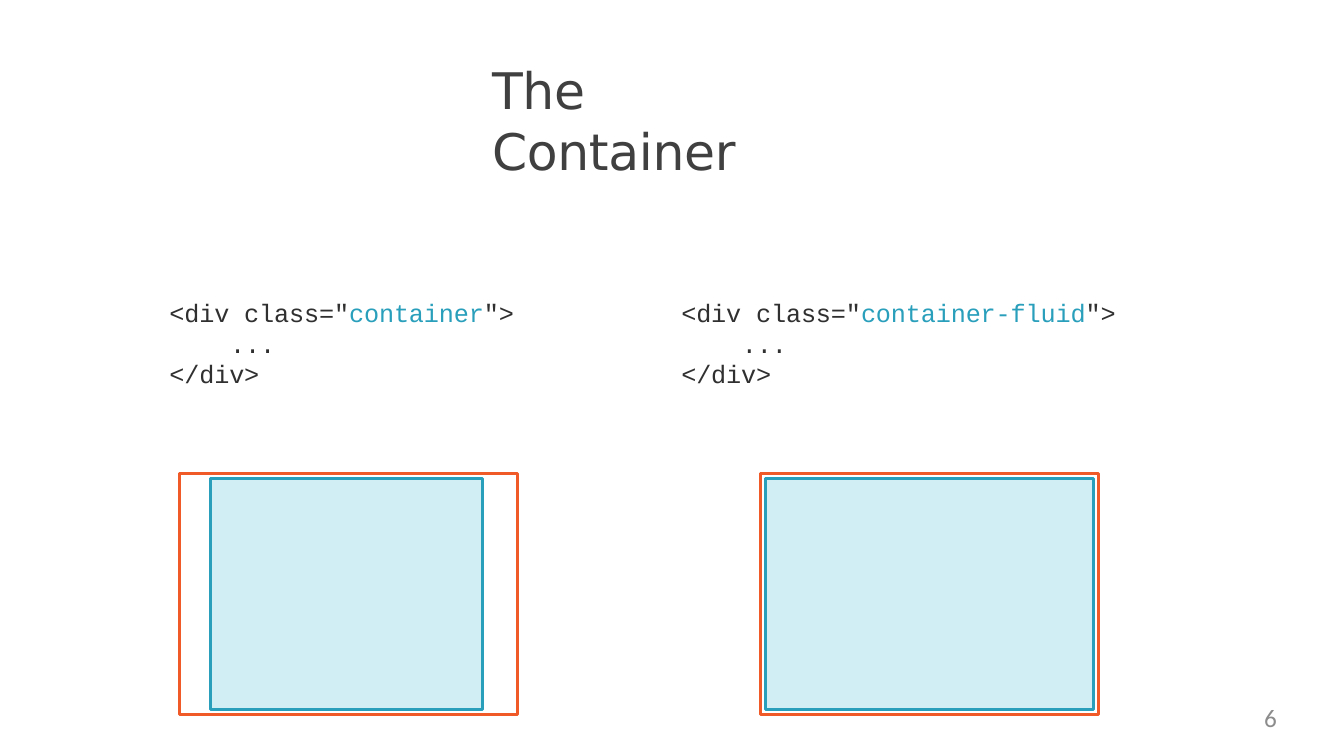
from pptx import Presentation
from pptx.dml.color import RGBColor
from pptx.enum import shapes, text
from pptx.util import Cm, Pt

TITLE = "The Container"
PAGE_NUMBER = "6"
INK, GREY, DARK = "404040", "8C8C8C", "303030"
BLUE, PALE, ORANGE = "2A9FBC", "D1EEF5", "F05A28"

SNIPPETS = [
    {"class": "container", "left": 4.24, "width": 8.8},
    {"class": "container-fluid", "left": 17.14, "width": 11.1},
]
DIAGRAMS = [
    {"left": 4.52, "inner_left": 5.31, "inner_width": 6.86},
    {"left": 19.17, "inner_left": 19.3, "inner_width": 8.25},
]
SNIPPET_TOP, SNIPPET_HEIGHT = 7.44, 2.36
OUTER_TOP, OUTER_WIDTH, OUTER_HEIGHT = 11.93, 8.52, 6.08
INNER_GAP = 0.12


def color(value):
    return RGBColor.from_string(value)


def place(box, left, top, width, height):
    box.left, box.top, box.width, box.height = map(Cm, (left, top, width, height))


def prepare(box, inset=0.05):
    frame = box.text_frame
    frame.word_wrap = True
    frame.auto_size = text.MSO_AUTO_SIZE.NONE
    frame.vertical_anchor = text.MSO_ANCHOR.TOP
    frame.margin_left = frame.margin_right = frame.margin_bottom = 0
    frame.margin_top = Cm(inset)
    return frame


def add_span(para, words, size=18, font="Courier New", ink=DARK, tracking=0):
    span = para.add_run()
    span.text = words
    span.font.size = Pt(size)
    span.font.name = font
    span.font.color.rgb = color(ink)
    if tracking:
        span._r.get_or_add_rPr().set("spc", str(tracking))


def add_snippet(page, snippet):
    box = page.shapes.add_textbox(0, 0, 0, 0)
    place(box, snippet["left"], SNIPPET_TOP, snippet["width"], SNIPPET_HEIGHT)
    frame = prepare(box)
    lines = [
        (0.03, [('<div class="', DARK), (snippet["class"], BLUE), ('">', DARK)]),
        (1.56, [("...", DARK)]),
        (0.03, [("</div>", DARK)]),
    ]
    for index, (indent, spans) in enumerate(lines):
        para = frame.add_paragraph() if index else frame.paragraphs[0]
        para._p.get_or_add_pPr().set("marL", str(Cm(indent)))
        if index:
            para.line_spacing = Pt(21.4)
            para.space_before = Pt(0.5 if index == 1 else 0)
        for words, ink in spans:
            add_span(para, words, ink=ink, tracking=-10)


def add_frame(group, left, top, width, height, line, fill=None):
    box = group.shapes.add_shape(
        shapes.MSO_SHAPE.RECTANGLE, Cm(left), Cm(top), Cm(width), Cm(height)
    )
    box.shadow.inherit = False
    box.line.color.rgb = color(line)
    box.line.width = Pt(2)
    if fill:
        box.fill.solid()
        box.fill.fore_color.rgb = color(fill)
    else:
        box.fill.background()


def add_diagram(page, diagram):
    group = page.shapes.add_group_shape()
    add_frame(group, diagram["left"], OUTER_TOP, OUTER_WIDTH, OUTER_HEIGHT, ORANGE)
    add_frame(group, diagram["inner_left"], OUTER_TOP + INNER_GAP,
              diagram["inner_width"], OUTER_HEIGHT - 2 * INNER_GAP, BLUE, PALE)


def main():
    deck = Presentation()
    deck.slide_width, deck.slide_height = Cm(33.87), Cm(19.05)
    page = deck.slides.add_slide(deck.slide_layouts[5])

    title = page.shapes.title
    place(title, 12.37, 1.45, 8.8, 1.6)
    para = prepare(title).paragraphs[0]
    para.alignment = text.PP_ALIGN.LEFT
    para._p.get_or_add_pPr().set("marL", str(Cm(0.03)))
    add_span(para, TITLE, size=36, font="DejaVu Sans", ink=INK, tracking=-25)

    for snippet in SNIPPETS:
        add_snippet(page, snippet)
    for diagram in DIAGRAMS:
        add_diagram(page, diagram)

    number = page.shapes.add_textbox(0, 0, 0, 0)
    place(number, 24.38, 17.7, 7.8, 0.97)
    para = prepare(number, inset=0).paragraphs[0]
    para.alignment = text.PP_ALIGN.RIGHT
    add_span(para, PAGE_NUMBER, font="Calibri", ink=GREY)

    deck.save("out.pptx")


if __name__ == "__main__":
    main()
